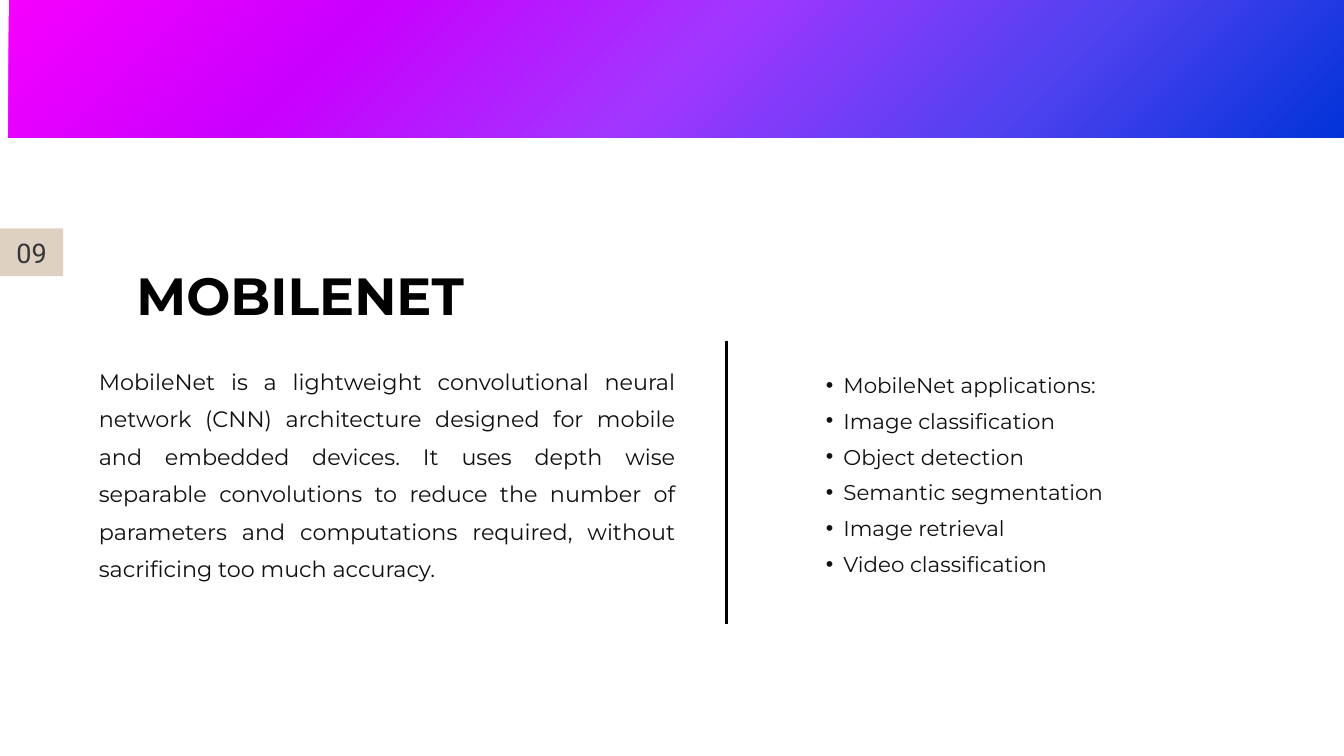
import pptx
import pptx.dml.color
import pptx.enum.shapes
import pptx.enum.text
import pptx.oxml
import pptx.oxml.ns
import pptx.util
from lxml import etree

Inches = pptx.util.Inches
Align = pptx.enum.text.PP_ALIGN
Anchor = pptx.enum.text.MSO_ANCHOR
RECTANGLE = pptx.enum.shapes.MSO_SHAPE.RECTANGLE
qn = pptx.oxml.ns.qn

TITLE = "MOBILENET"
NUMBER = "09"
DESCRIPTION = (
    "MobileNet is a lightweight convolutional neural network (CNN) architecture "
    "designed for mobile and embedded devices. It uses depth wise separable "
    "convolutions to reduce the number of parameters and computations required, "
    "without sacrificing too much accuracy."
)
APPLICATIONS = [
    "MobileNet applications:",
    "Image classification",
    "Object detection",
    "Semantic segmentation",
    "Image retrieval",
    "Video classification",
]
BANNER_COLORS = ["F600FE", "C900FE", "A136FF", "5142F0", "0033D9"]
INK = "101010"


def rgb(value):
    return pptx.dml.color.RGBColor.from_string(value)


def write(shape, lines, size, color, font="Montserrat", bold=False,
          align=Align.LEFT, anchor=Anchor.TOP, spacing=1.4):
    frame = shape.text_frame
    frame.text = "\n".join(lines)
    frame.word_wrap = True
    frame.auto_size = pptx.enum.text.MSO_AUTO_SIZE.NONE
    frame.vertical_anchor = anchor
    frame.margin_left = frame.margin_right = 0
    frame.margin_top = frame.margin_bottom = 0
    for paragraph in frame.paragraphs:
        paragraph.alignment = align
        paragraph.line_spacing = spacing
        paragraph.font.name = font
        paragraph.font.size = pptx.util.Pt(size)
        paragraph.font.bold = bold
        paragraph.font.color.rgb = rgb(color)


def add_bullet(paragraph, color):
    properties = paragraph._p.get_or_add_pPr()
    properties.set("marL", str(Inches(0.49)))
    properties.set("indent", str(Inches(-0.26)))
    bullet_color = etree.SubElement(properties, qn("a:buClr"))
    etree.SubElement(bullet_color, qn("a:srgbClr"), val=color)
    etree.SubElement(properties, qn("a:buFont"), typeface="Arial")
    etree.SubElement(properties, qn("a:buChar"), char="•")
    properties.append(properties.find(qn("a:defRPr")))


def add_block(slide, left, top, width, height):
    block = slide.shapes.add_shape(RECTANGLE, *map(Inches, (left, top, width, height)))
    block.shadow.inherit = False
    block.line.fill.background()
    return block


def fill_gradient(shape, colors, angle):
    shape.fill.gradient()
    shape.fill.gradient_angle = angle
    stops = shape._element.spPr.find(qn("a:gradFill")).find(qn("a:gsLst"))
    for stop in list(stops):
        stops.remove(stop)
    for index, color in enumerate(colors):
        position = 100000 * index // (len(colors) - 1)
        stop = etree.SubElement(stops, qn("a:gs"), pos=str(position))
        etree.SubElement(stop, qn("a:srgbClr"), val=color)


def main():
    deck = pptx.Presentation()
    deck.slide_width, deck.slide_height = Inches(20), Inches(11.25)
    slide = deck.slides.add_slide(deck.slide_layouts[5])

    title = slide.shapes.title
    title.left, title.top = Inches(2.03), Inches(3.55)
    title.width, title.height = Inches(9.18), Inches(1.04)
    write(title, [TITLE], 56, "000000", bold=True)

    applications = slide.shapes.add_textbox(
        Inches(12.06), Inches(5.38), Inches(4.89), Inches(3.59))
    write(applications, APPLICATIONS, 22.9, INK)
    for paragraph in applications.text_frame.paragraphs:
        add_bullet(paragraph, INK)

    description = slide.shapes.add_textbox(
        Inches(1.47), Inches(5.32), Inches(8.58), Inches(3.45))
    write(description, [DESCRIPTION], 23.9, INK, align=Align.JUSTIFY)

    banner = add_block(slide, 0.13, 0, 20, 2.05)
    fill_gradient(banner, BANNER_COLORS, 315)

    divider = slide.shapes.add_connector(
        pptx.enum.shapes.MSO_CONNECTOR.STRAIGHT,
        Inches(10.81), Inches(5.07), Inches(10.81), Inches(9.28))
    divider.line.color.rgb = rgb("000000")
    divider.line.width = pptx.util.Pt(3)
    etree.SubElement(divider._element.spPr, qn("a:effectLst"))

    badge = add_block(slide, 0, 3.4, 0.94, 0.71)
    badge.fill.solid()
    badge.fill.fore_color.rgb = rgb("DFD1C2")
    write(badge, [NUMBER], 29, "363636", font="Roboto",
          align=Align.CENTER, anchor=Anchor.MIDDLE, spacing=1.0)

    deck.save("out.pptx")


if __name__ == "__main__":
    main()
